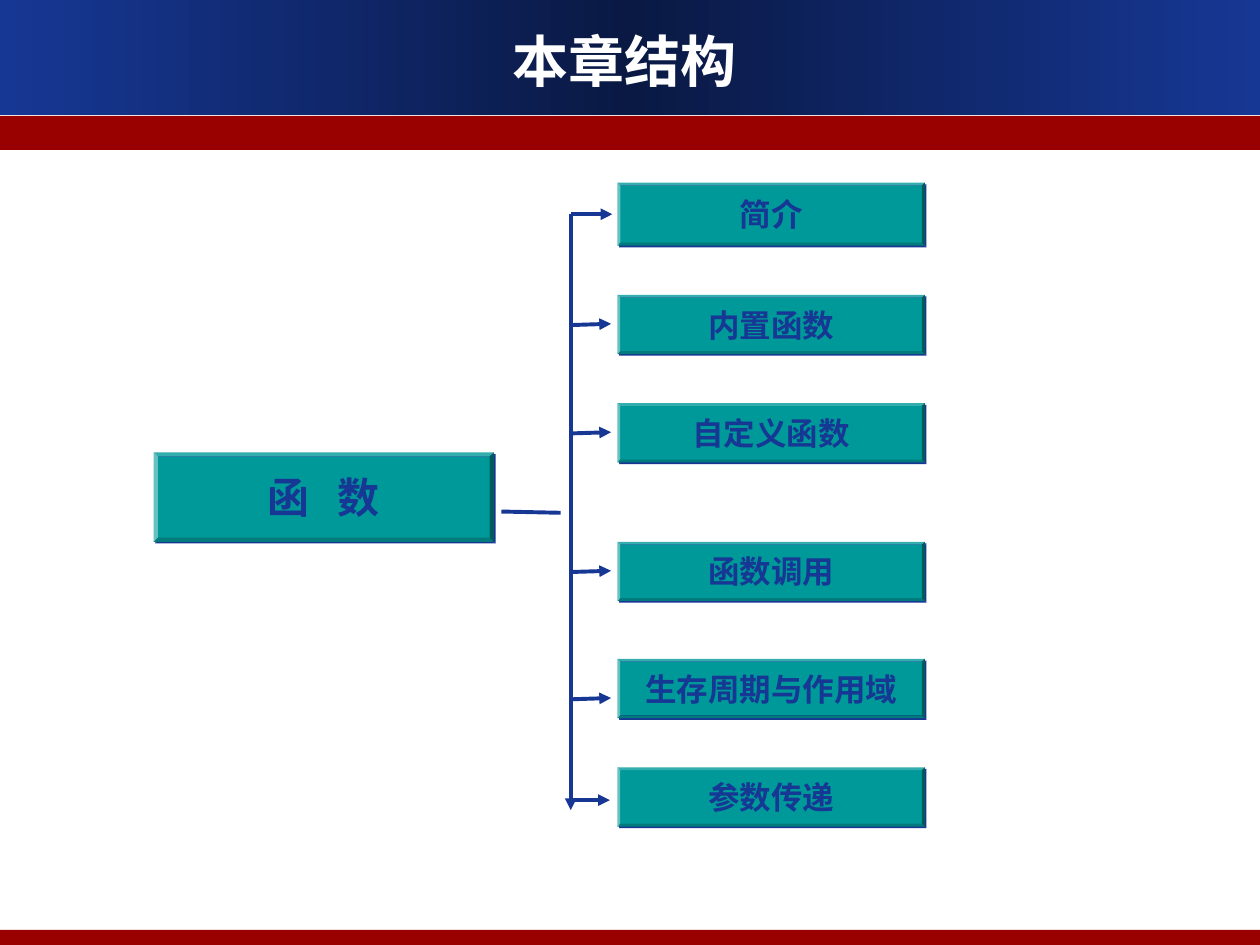
from copy import deepcopy
from dataclasses import dataclass

from lxml.etree import SubElement
from pptx import Presentation
from pptx.dml.color import RGBColor
from pptx.enum.shapes import MSO_CONNECTOR, MSO_SHAPE
from pptx.enum.text import MSO_ANCHOR, MSO_AUTO_SIZE, PP_ALIGN
from pptx.oxml.ns import qn
from pptx.util import Inches, Pt

BLUE = RGBColor(0x16, 0x37, 0x94)
NAVY = RGBColor(0x0A, 0x19, 0x44)
RED = RGBColor(0x99, 0x00, 0x00)
TEAL = RGBColor(0x00, 0x99, 0x99)
WHITE = RGBColor(0xFF, 0xFF, 0xFF)
CJK_FONT = "Noto Sans CJK SC"
TRUNK_X = 4.53
BOX_LEFT, BOX_WIDTH = 4.9, 2.44


@dataclass
class Topic:
    text: str
    top: float
    arrow_start: float
    arrow_end: float
    arrow_tip: float = 4.85
    height: float = 0.47


TOPICS = [
    Topic("简介", 1.45, 1.7, 1.7, 4.86, 0.5),
    Topic("内置函数", 2.34, 2.58, 2.57),
    Topic("自定义函数", 3.2, 3.44, 3.43),
    Topic("函数调用", 4.3, 4.54, 4.53),
    Topic("生存周期与作用域", 5.23, 5.55, 5.54),
    Topic("参数传递", 6.09, 6.35, 6.35, 4.84),
]


def write_text(sp, text: str, *, size: float, color: RGBColor,
               font: str = CJK_FONT, spacing: float = 0, wrap: bool = False) -> None:
    tf = sp.text_frame
    tf.auto_size = MSO_AUTO_SIZE.NONE
    tf.word_wrap = wrap
    tf.vertical_anchor = MSO_ANCHOR.MIDDLE
    p = tf.paragraphs[0]
    p.alignment = PP_ALIGN.CENTER
    r = p.add_run()
    r.text = text
    r.font.size = Pt(size)
    r.font.bold = True
    r.font.name = font
    r.font.color.rgb = color
    rPr = r.font._element
    SubElement(rPr, qn("a:ea")).set("typeface", font)
    if spacing:
        rPr.set("spc", str(round(spacing * 100)))


def add_block(s, shape: MSO_SHAPE, left: float, top: float, width: float,
              height: float, color: RGBColor):
    sp = s.shapes.add_shape(shape, Inches(left), Inches(top),
                            Inches(width), Inches(height))
    sp.shadow.inherit = False
    sp.fill.solid()
    sp.fill.fore_color.rgb = color
    sp.line.fill.background()
    return sp


def add_header(s) -> None:
    sp = add_block(s, MSO_SHAPE.RECTANGLE, 0, 0, 10, 0.91, BLUE)
    sp.fill.gradient()
    sp.fill.gradient_angle = 180
    for stop in sp.fill.gradient_stops:
        stop.color.rgb = BLUE
    first = sp._element.spPr.find(".//" + qn("a:gs"))
    first.addnext(deepcopy(first))
    middle = sp.fill.gradient_stops[1]
    middle.position = 0.5
    middle.color.rgb = NAVY


def add_bevel(s, left: float, top: float, width: float, height: float,
              text: str, *, size: float, spacing: float = 0) -> None:
    sp = add_block(s, MSO_SHAPE.BEVEL, left, top, width, height, TEAL)
    sp.adjustments[0] = 0.047
    effects = sp._element.spPr.find(qn("a:effectLst"))
    shadow = SubElement(effects, qn("a:outerShdw"), blurRad="0",
                        dist=str(Pt(1.4)), dir="2700000", algn="ctr", rotWithShape="0")
    SubElement(shadow, qn("a:srgbClr"), val=str(BLUE))
    write_text(sp, text, size=size, color=BLUE, spacing=spacing)


def add_line(s, x1: float, y1: float, x2: float, y2: float,
             *, arrow: bool = True) -> None:
    line = s.shapes.add_connector(MSO_CONNECTOR.STRAIGHT, Inches(x1), Inches(y1),
                                  Inches(x2), Inches(y2))
    line.line.color.rgb = BLUE
    line.line.width = Pt(2.25)
    spPr = line._element.spPr
    if arrow:
        SubElement(spPr.find(qn("a:ln")), qn("a:tailEnd"), type="triangle")
    SubElement(spPr, qn("a:effectLst"))


def main() -> None:
    prs = Presentation()
    prs.slide_width, prs.slide_height = Inches(10), Inches(7.5)
    s = prs.slides.add_slide(prs.slide_layouts[5])

    add_header(s)
    add_block(s, MSO_SHAPE.RECTANGLE, 0, 0.92, 10, 0.27, RED)
    add_block(s, MSO_SHAPE.RECTANGLE, 0, 7.38, 10, 0.12, RED)

    title = s.shapes.title
    title.left, title.top = Inches(0.33), Inches(0.16)
    title.width, title.height = Inches(9.25), Inches(0.63)
    write_text(title, "本章结构", size=32, color=WHITE, font="DejaVu Sans", wrap=True)
    s.shapes._spTree.append(title._element)

    add_bevel(s, 1.22, 3.59, 2.7, 0.71, "函 数", size=24, spacing=5.4)
    add_line(s, 3.98, 4.06, 4.45, 4.07, arrow=False)
    add_line(s, TRUNK_X, 1.7, TRUNK_X, 6.43)
    for t in TOPICS:
        add_bevel(s, BOX_LEFT, t.top, BOX_WIDTH, t.height, t.text, size=18)
        add_line(s, TRUNK_X, t.arrow_start, t.arrow_tip, t.arrow_end)

    prs.save("out.pptx")


if __name__ == "__main__":
    main()
